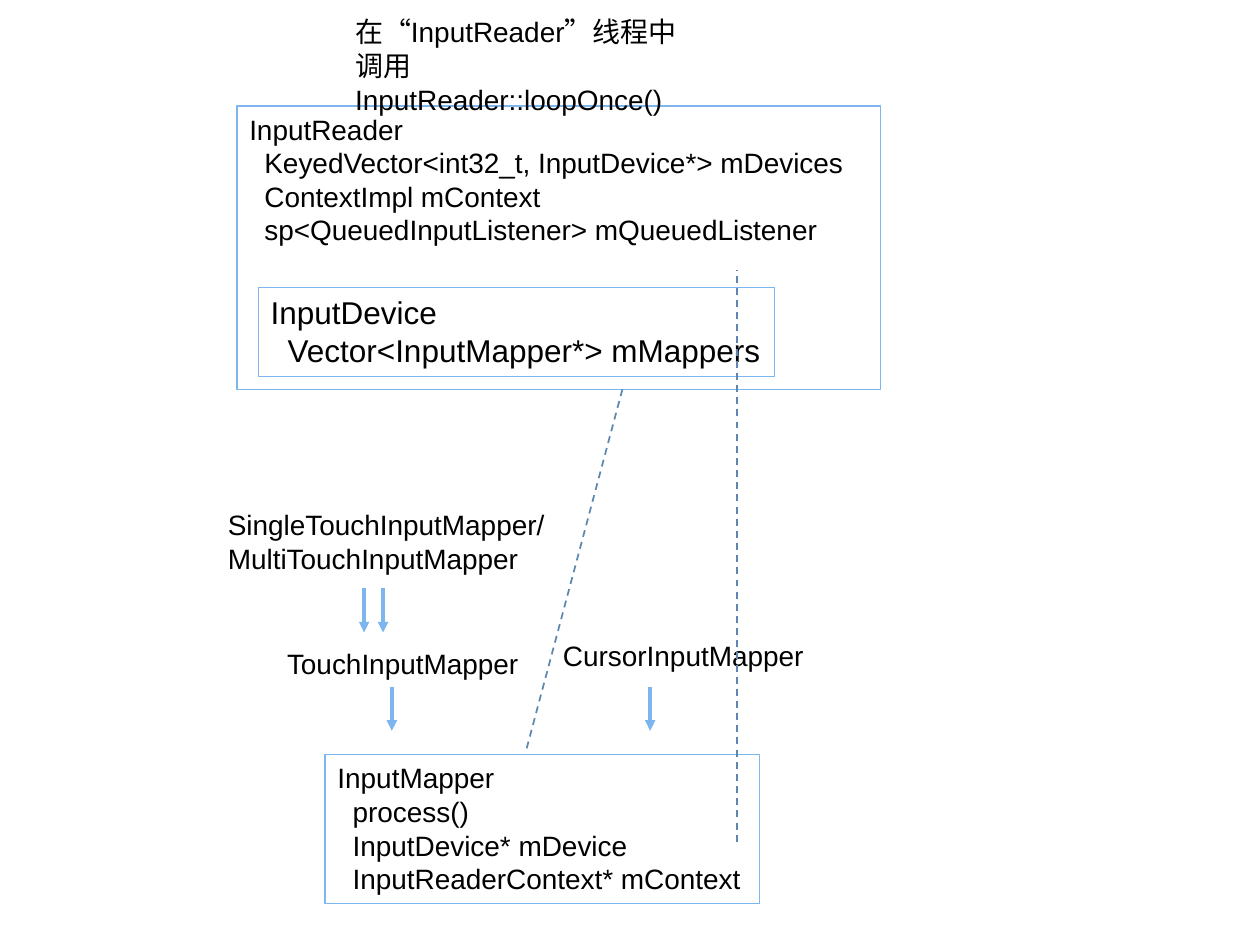
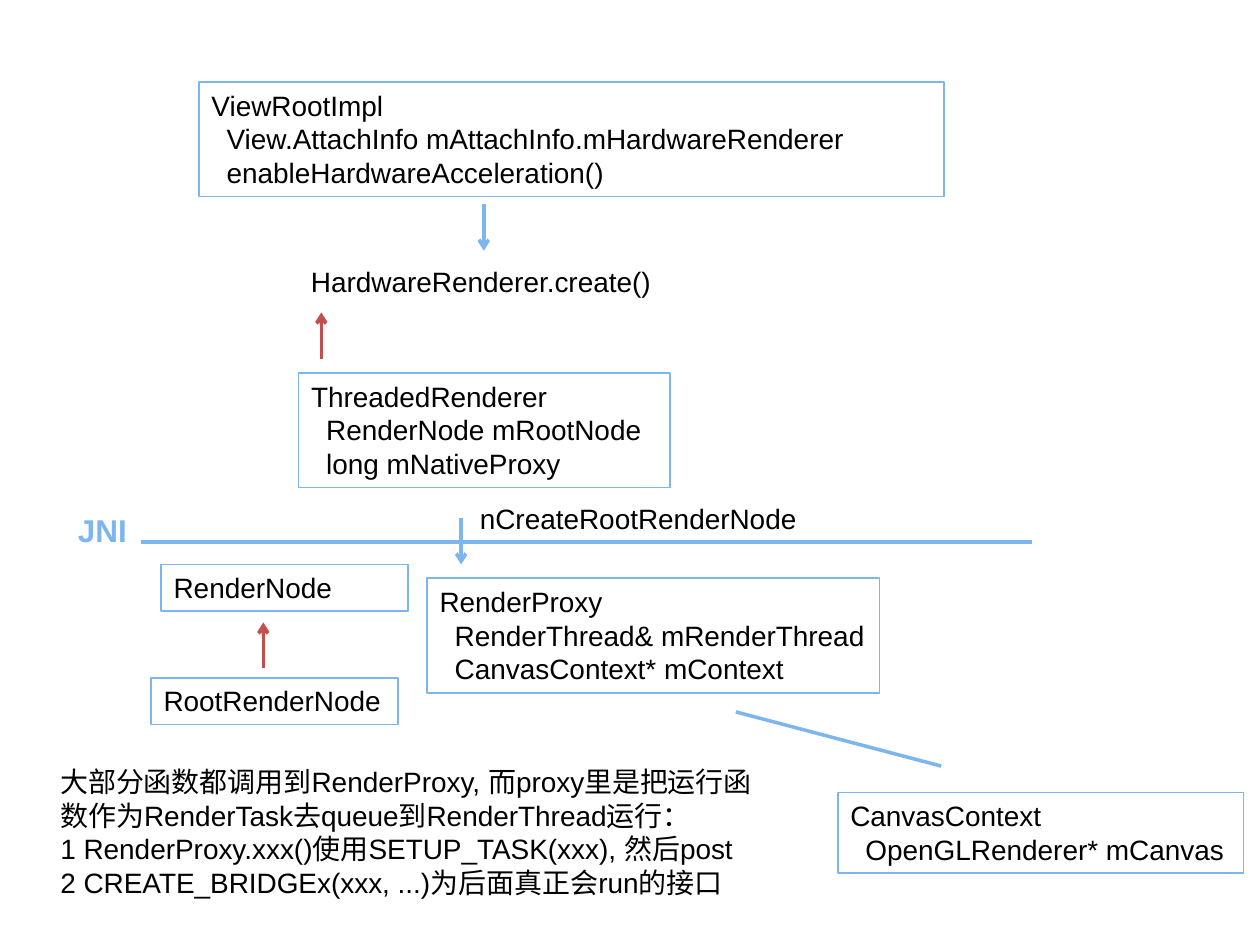
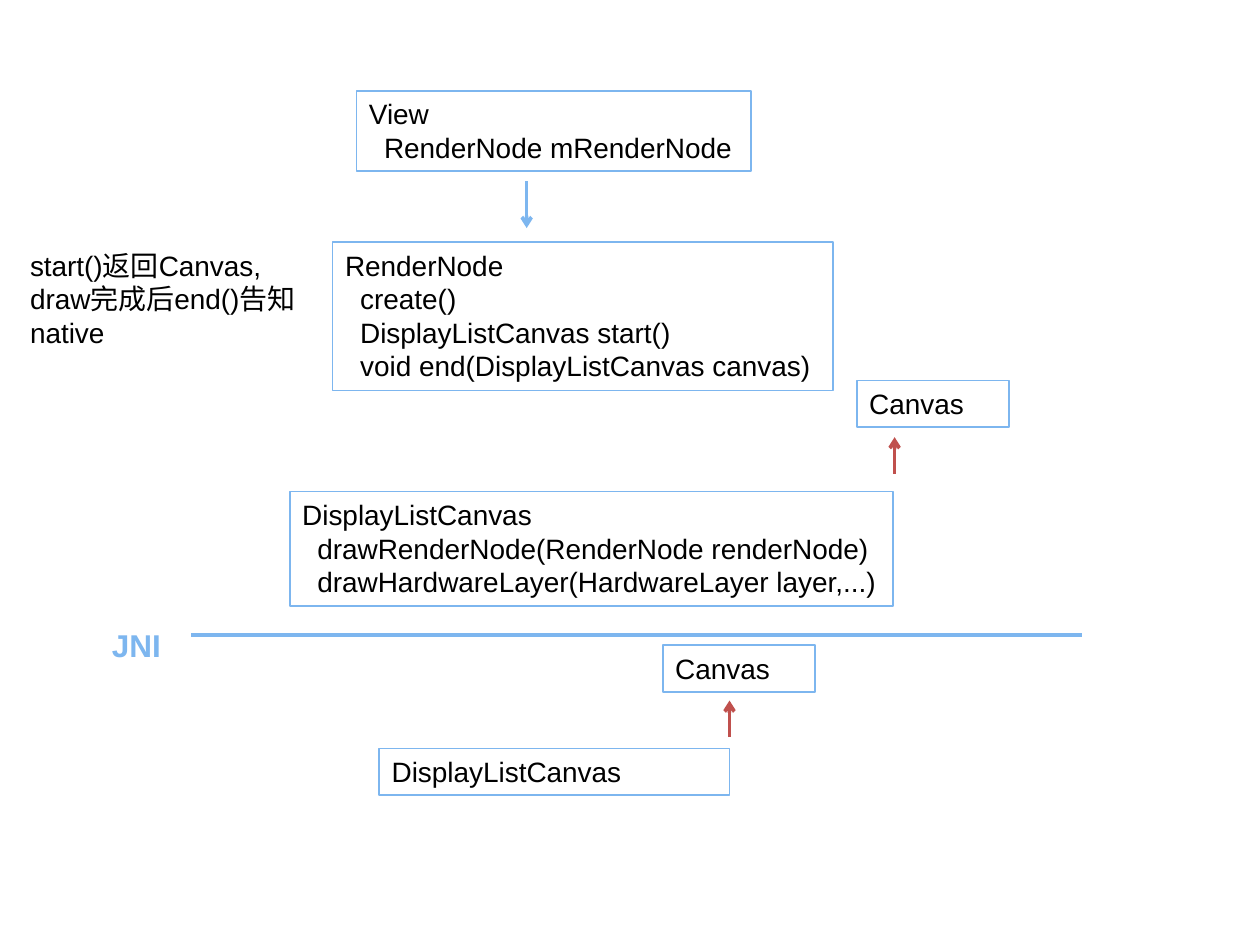
from dataclasses import dataclass

from lxml import etree
from pptx import Presentation
from pptx.dml.color import RGBColor
from pptx.enum.dml import MSO_LINE
from pptx.enum.shapes import MSO_CONNECTOR, MSO_SHAPE
from pptx.enum.text import MSO_ANCHOR, MSO_AUTO_SIZE, PP_ALIGN
from pptx.oxml.ns import qn
from pptx.util import Inches, Pt

RECTANGLE = MSO_SHAPE.RECTANGLE
STRAIGHT = MSO_CONNECTOR.STRAIGHT
DASH = MSO_LINE.DASH
TOP = MSO_ANCHOR.TOP
LEFT = PP_ALIGN.LEFT
GROW = MSO_AUTO_SIZE.SHAPE_TO_FIT_TEXT


@dataclass(frozen=True)
class Theme:
    font: str = "Arial"
    text: RGBColor = RGBColor(0x00, 0x00, 0x00)
    blue: RGBColor = RGBColor(0x7D, 0xB6, 0xEF)
    red: RGBColor = RGBColor(0xC0, 0x50, 0x4D)
    steel: RGBColor = RGBColor(0x5C, 0x87, 0xB1)
    body: int = 16
    large: int = 18
    thin: float = 0.75
    outline: float = 1
    flow: float = 2
    member_indent: float = 0.0075


THEME = Theme()


def write_lines(frame, lines, size, color, bold=False, members=False):
    frame.word_wrap = True
    frame.auto_size = GROW
    frame.vertical_anchor = TOP
    for index, line in enumerate(lines):
        paragraph = frame.paragraphs[0] if index == 0 else frame.add_paragraph()
        paragraph.text = line
        paragraph.alignment = LEFT
        paragraph.font.name = THEME.font
        paragraph.font.size = Pt(size)
        paragraph.font.bold = bold
        paragraph.font.color.rgb = color
        if members and index:
            indent = Inches(size * THEME.member_indent)
            paragraph._p.get_or_add_pPr().set("marL", str(indent))


def class_box(slide, left, top, width, height, name, *members,
              size=THEME.body, outline=THEME.outline):
    box = slide.shapes.add_shape(
        RECTANGLE, Inches(left), Inches(top), Inches(width), Inches(height))
    box.shadow.inherit = False
    box.fill.background()
    box.line.color.rgb = THEME.blue
    box.line.width = Pt(outline)
    write_lines(box.text_frame, (name, *members), size, THEME.text, members=True)


def caption(slide, left, top, width, height, *lines,
            size=THEME.body, color=THEME.text, bold=False):
    label = slide.shapes.add_textbox(
        Inches(left), Inches(top), Inches(width), Inches(height))
    write_lines(label.text_frame, lines, size, color, bold)


def link(slide, start, end, color=THEME.blue, width=THEME.flow, dash=None, head=None):
    connector = slide.shapes.add_connector(
        STRAIGHT, *(Inches(value) for value in (*start, *end)))
    connector.line.color.rgb = color
    connector.line.width = Pt(width)
    if dash:
        connector.line.dash_style = dash
    properties = connector._element.spPr
    if head:
        etree.SubElement(properties.find(qn("a:ln")), qn("a:tailEnd"), type=head)
    etree.SubElement(properties, qn("a:effectLst"))


def vertical_arrow(slide, x, start, end, color=THEME.blue, head="arrow"):
    link(slide, (x, start), (x, end), color, head=head)


def relation(slide, start, end):
    link(slide, start, end, THEME.steel, THEME.outline, DASH)


def jni_boundary(slide, label_left, label_top, line_left, line_top):
    link(slide, (line_left, line_top), (line_left + 7.07, line_top))
    caption(slide, label_left, label_top, 0.6, 0.4, "JNI",
            size=THEME.large, color=THEME.blue, bold=True)


def input_reader_slide(slide):
    class_box(slide, 1.88, 0.84, 5.11, 2.25, "InputReader",
              "KeyedVector<int32_t, InputDevice*> mDevices",
              "ContextImpl mContext",
              "sp<QueuedInputListener> mQueuedListener", outline=THEME.thin)
    class_box(slide, 2.05, 2.28, 4.1, 0.71, "InputDevice",
              "Vector<InputMapper*> mMappers",
              size=THEME.large, outline=THEME.thin)
    class_box(slide, 2.58, 5.99, 3.45, 1.18, "InputMapper", "process()",
              "InputDevice* mDevice", "InputReaderContext* mContext",
              outline=THEME.thin)
    caption(slide, 2.18, 5.08, 2.3, 0.37, "TouchInputMapper")
    caption(slide, 1.71, 3.98, 2.81, 0.64,
            "SingleTouchInputMapper/", "MultiTouchInputMapper")
    caption(slide, 4.37, 5.02, 2.2, 0.37, "CursorInputMapper")
    for x, top in ((3.11, 5.45), (5.16, 5.45), (2.89, 4.67), (3.04, 4.67)):
        vertical_arrow(slide, x, top, top + 0.35, head="triangle")
    relation(slide, (4.94, 3.09), (4.18, 5.94))
    relation(slide, (5.85, 6.68), (5.85, 2.14))
    caption(slide, 2.72, 0.07, 2.91, 0.64,
            "在“InputReader”线程中调用InputReader::loopOnce()")


def threaded_renderer_slide(slide):
    class_box(slide, 1.58, 0.65, 5.91, 0.91, "ViewRootImpl",
              "View.AttachInfo mAttachInfo.mHardwareRenderer",
              "enableHardwareAcceleration()")
    caption(slide, 2.37, 2.05, 3.26, 0.37, "HardwareRenderer.create()")
    vertical_arrow(slide, 3.84, 1.62, 1.99)
    class_box(slide, 2.37, 2.96, 2.95, 0.91, "ThreadedRenderer",
              "RenderNode mRootNode", "long mNativeProxy")
    vertical_arrow(slide, 2.55, 2.85, 2.48, THEME.red)
    class_box(slide, 1.2, 5.38, 1.96, 0.37, "RootRenderNode")
    class_box(slide, 1.28, 4.48, 1.96, 0.37, "RenderNode")
    vertical_arrow(slide, 2.09, 5.3, 4.94, THEME.red)
    class_box(slide, 3.39, 4.59, 3.59, 0.91, "RenderProxy",
              "RenderThread& mRenderThread", "CanvasContext* mContext")
    caption(slide, 0.38, 6.02, 5.78, 1.18,
            "大部分函数都调用到RenderProxy, 而proxy里是把运行函数作为"
            "RenderTask去queue到RenderThread运行：",
            "1 RenderProxy.xxx()使用SETUP_TASK(xxx), 然后post",
            "2 CREATE_BRIDGEx(xxx, ...)为后面真正会run的接口")
    vertical_arrow(slide, 3.66, 4.11, 4.48)
    caption(slide, 3.71, 3.93, 2.78, 0.37, "nCreateRootRenderNode")
    jni_boundary(slide, 0.52, 4.01, 1.12, 4.3)
    class_box(slide, 6.65, 6.29, 3.22, 0.64, "CanvasContext",
              "OpenGLRenderer* mCanvas")
    link(slide, (5.84, 5.65), (7.47, 6.08))


def display_list_slide(slide):
    class_box(slide, 2.83, 0.72, 3.13, 0.64, "View", "RenderNode mRenderNode")
    class_box(slide, 2.64, 1.92, 3.97, 1.18, "RenderNode", "create()",
              "DisplayListCanvas start()", "void end(DisplayListCanvas canvas)")
    vertical_arrow(slide, 4.18, 1.44, 1.81)
    class_box(slide, 2.3, 3.9, 4.79, 0.91, "DisplayListCanvas",
              "drawRenderNode(RenderNode renderNode)",
              "drawHardwareLayer(HardwareLayer layer,...)")
    class_box(slide, 6.8, 3.02, 1.21, 0.37, "Canvas")
    vertical_arrow(slide, 7.1, 3.76, 3.47, THEME.red)
    jni_boundary(slide, 0.79, 4.92, 1.52, 5.04)
    class_box(slide, 3.01, 5.94, 2.78, 0.37, "DisplayListCanvas")
    class_box(slide, 5.26, 5.12, 1.21, 0.37, "Canvas")
    vertical_arrow(slide, 5.79, 5.85, 5.56, THEME.red)
    caption(slide, 0.14, 1.92, 2.33, 0.91,
            "start()返回Canvas, draw完成后end()告知native")


def main():
    deck = Presentation()
    deck.slide_width = Inches(10)
    deck.slide_height = Inches(7.5)
    blank = deck.slide_layouts[6]
    for build in (input_reader_slide, threaded_renderer_slide, display_list_slide):
        build(deck.slides.add_slide(blank))
    deck.save("out.pptx")


if __name__ == "__main__":
    main()
